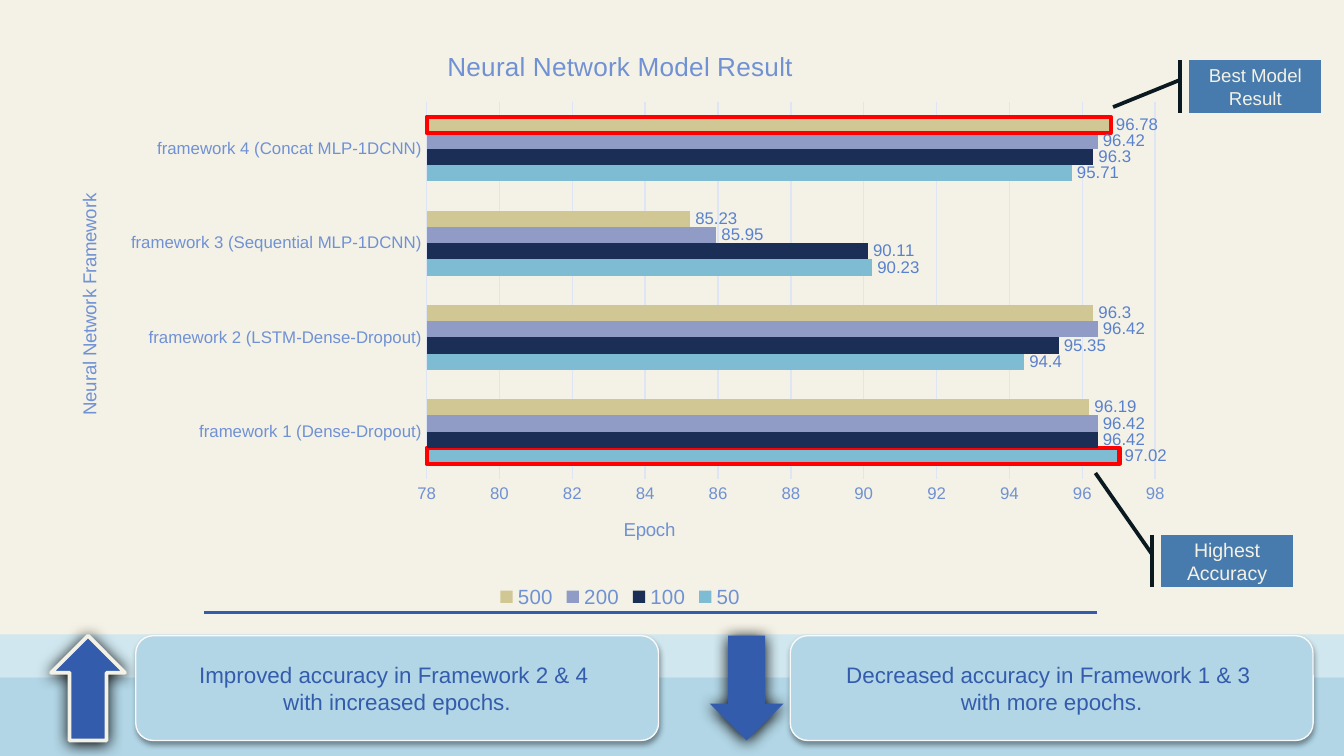
from lxml import etree
from pptx import Presentation
from pptx.chart.data import CategoryChartData
from pptx.dml.color import RGBColor
from pptx.enum.chart import XL_CHART_TYPE, XL_LABEL_POSITION, XL_LEGEND_POSITION, XL_TICK_MARK
from pptx.enum.shapes import MSO_CONNECTOR, MSO_SHAPE
from pptx.enum.text import MSO_ANCHOR, PP_ALIGN
from pptx.oxml import parse_xml
from pptx.oxml.ns import nsdecls, qn
from pptx.util import Inches, Pt

BAR_CHART = XL_CHART_TYPE.BAR_CLUSTERED
OUTSIDE_END = XL_LABEL_POSITION.OUTSIDE_END
LEGEND_BOTTOM = XL_LEGEND_POSITION.BOTTOM
NO_TICK = XL_TICK_MARK.NONE
STRAIGHT = MSO_CONNECTOR.STRAIGHT
RECTANGLE, ROUNDED = MSO_SHAPE.RECTANGLE, MSO_SHAPE.ROUNDED_RECTANGLE
DOWN_ARROW, CALLOUT = MSO_SHAPE.DOWN_ARROW, MSO_SHAPE.LINE_CALLOUT_1_ACCENT_BAR
MIDDLE, CENTER = MSO_ANCHOR.MIDDLE, PP_ALIGN.CENTER

CREAM = RGBColor(0xF4, 0xF2, 0xE6)
PALE_BLUE = RGBColor(0xD0, 0xE7, 0xEF)
LIGHT_BLUE = RGBColor(0xB2, 0xD6, 0xE6)
BLUE = RGBColor(0x34, 0x5C, 0xAC)
AXIS_BLUE = RGBColor(0x70, 0x91, 0xD4)
LABEL_BLUE = RGBColor(0x5A, 0x81, 0xCD)
GRID = RGBColor(0xDE, 0xE6, 0xF5)
CALLOUT_BLUE = RGBColor(0x47, 0x7A, 0xAD)
INK = RGBColor(0x0A, 0x18, 0x1F)
WHITE = RGBColor(0xF9, 0xF9, 0xF9)
RED = RGBColor(0xFF, 0, 0)
FONT = "Arial"

FRAMEWORKS = ["framework 1 (Dense-Dropout)", "framework 2 (LSTM-Dense-Dropout)",
              "framework 3 (Sequential MLP-1DCNN)", "framework 4 (Concat MLP-1DCNN)"]
# Epochs, accuracy per framework, bar colour, index of the outlined bar
EPOCHS = [
    ("50", (97.02, 94.4, 90.23, 95.71), RGBColor(0x7D, 0xBC, 0xD3), 0),
    ("100", (96.42, 95.35, 90.11, 96.3), RGBColor(0x1A, 0x2E, 0x56), None),
    ("200", (96.42, 96.42, 85.95, 96.42), RGBColor(0x90, 0x9C, 0xC5), None),
    ("500", (96.19, 96.3, 85.23, 96.78), RGBColor(0xD0, 0xC7, 0x94), 3),
]


def style_font(font, size, color):
    font.name, font.size, font.bold = FONT, Pt(size), False
    font.color.rgb = color


def write(frame, text, size=12, color=BLUE):
    frame.word_wrap = True
    frame.vertical_anchor = MIDDLE
    frame.text = text
    for paragraph in frame.paragraphs:
        paragraph.alignment = CENTER
        for run in paragraph.runs:
            style_font(run.font, size, color)


def add_box(slide, kind, box, fill, line=None, width=1):
    shape = slide.shapes.add_shape(kind, *map(Inches, box))
    shape.shadow.inherit = False
    shape.fill.solid()
    shape.fill.fore_color.rgb = fill
    if line is None:
        shape.line.fill.background()
    else:
        shape.line.color.rgb = line
        shape.line.width = Pt(width)
    return shape


def add_shadow(shape, alpha, blur, distance):
    effects = shape._element.spPr.find(qn("a:effectLst"))
    effects.append(parse_xml(
        f'<a:outerShdw {nsdecls("a")} blurRad="{Pt(blur)}" dist="{Pt(distance)}" '
        f'dir="5400000" algn="ctr" rotWithShape="0"><a:srgbClr val="000000">'
        f'<a:alpha val="{alpha * 1000}"/></a:srgbClr></a:outerShdw>'))


def place(element, x, y, w=None, h=None):
    """Set a manual layout, in fractions of the chart area."""
    layout = element.find(qn("c:layout"))
    if layout is None:
        layout = etree.Element(qn("c:layout"))
        text = element.find(qn("c:tx"))
        if text is None:
            element.insert(0, layout)
        else:
            text.addnext(layout)
    manual = etree.SubElement(layout, qn("c:manualLayout"))
    values = [("xMode", "edge"), ("yMode", "edge"), ("x", x), ("y", y)]
    if w is not None:
        values = [("layoutTarget", "inner")] + values + [("w", w), ("h", h)]
    for tag, value in values:
        etree.SubElement(manual, qn(f"c:{tag}")).set("val", str(value))


def style_axis(axis, title, x, y):
    axis.major_tick_mark = axis.minor_tick_mark = NO_TICK
    style_font(axis.tick_labels.font, 9, AXIS_BLUE)
    write_title(axis.axis_title, title, 10)
    place(axis.axis_title._element, x, y)


def write_title(title, text, size):
    title.text_frame.text = text
    style_font(title.text_frame.paragraphs[0].runs[0].font, size, AXIS_BLUE)


def add_accuracy_chart(slide, box):
    data = CategoryChartData()
    data.categories = FRAMEWORKS
    for epochs, accuracy, _, _ in EPOCHS:
        data.add_series(epochs, accuracy)
    chart = slide.shapes.add_chart(BAR_CHART, *map(Inches, box), data).chart
    style_font(chart.font, 10, BLUE)
    write_title(chart.chart_title, "Neural Network Model Result", 14)
    chart.chart_title.include_in_layout = False
    chart.has_legend = True
    chart.legend.position = LEGEND_BOTTOM
    chart.legend.include_in_layout = False
    style_font(chart.legend.font, 11, AXIS_BLUE)

    # Axes
    frameworks, accuracy_axis = chart.category_axis, chart.value_axis
    style_axis(frameworks, "Neural Network Framework", 0.02, 0.28)
    frameworks.format.line.color.rgb = GRID
    frameworks.format.line.width = Pt(0.75)
    style_axis(accuracy_axis, "Epoch", 0.5, 0.83)
    accuracy_axis.format.line.fill.background()
    accuracy_axis.minimum_scale, accuracy_axis.maximum_scale = 78, 98
    accuracy_axis.major_unit = 2
    grid_line = accuracy_axis.major_gridlines.format.line
    grid_line.color.rgb = GRID
    grid_line.width = Pt(0.75)

    # Bars, labels and outlined results
    plot = chart.plots[0]
    plot.gap_width, plot.overlap, plot.vary_by_categories = 182, 0, False
    place(chart._chartSpace.chart.plotArea, 0.33, 0.13, 0.64, 0.64)
    for series, (_, _, color, outlined) in zip(plot.series, EPOCHS):
        series.format.fill.solid()
        series.format.fill.fore_color.rgb = color
        labels = series.data_labels
        labels.show_value = True
        labels.position = OUTSIDE_END
        style_font(labels.font, 9, LABEL_BLUE)
        if outlined is not None:
            bar = series.points[outlined].format
            bar.fill.solid()
            bar.fill.fore_color.rgb = color
            bar.line.color.rgb = RED
            bar.line.width = Pt(2.25)


def add_callout(slide, box, text, size, leader):
    callout = add_box(slide, CALLOUT, box, CALLOUT_BLUE, INK, 2)
    for index, value in enumerate(leader):
        callout.adjustments[index] = value
    write(callout.text_frame, text, size=size, color=CREAM)


def add_finding(slide, box, text, rising):
    left, top, width, height = box
    arrow_box = (left, top, 0.55, height)
    if rising:
        arrow = add_box(slide, DOWN_ARROW, arrow_box, BLUE, CREAM, 2)
        arrow.rotation = 180
    else:
        arrow = add_box(slide, DOWN_ARROW, arrow_box, BLUE)
    add_shadow(arrow, alpha=100, blur=8.5, distance=1)
    card_box = (left + width - 3.89, top, 3.89, height)
    card = add_box(slide, ROUNDED, card_box, LIGHT_BLUE, WHITE, 0.75)
    add_shadow(card, alpha=38, blur=3.1, distance=1.6)
    write(card.text_frame, text)


def add_divider(slide, left, right, y):
    line = slide.shapes.add_connector(STRAIGHT, *map(Inches, (left, y, right, y)))
    line.line.color.rgb = BLUE
    line.line.width = Pt(1.5)
    etree.SubElement(line._element.spPr, qn("a:effectLst"))


def main():
    deck = Presentation()
    deck.slide_width = Inches(10)
    deck.slide_height = deck.slide_width * 9 // 16
    slide = deck.slides.add_slide(deck.slide_layouts[6])
    slide.background.fill.solid()
    slide.background.fill.fore_color.rgb = CREAM

    # Footer bands
    add_box(slide, RECTANGLE, (0, 4.72, 10, 0.32), PALE_BLUE)
    add_box(slide, RECTANGLE, (0, 5.04, 10, 0.61), LIGHT_BLUE)

    add_accuracy_chart(slide, (0.38, 0.19, 8.47, 4.38))
    add_divider(slide, 1.52, 8.16, 4.56)

    # Findings
    add_finding(slide, (0.38, 4.73, 4.52, 0.78),
                "Improved accuracy in Framework 2 & 4 \nwith increased epochs.", True)
    add_finding(slide, (5.28, 4.73, 4.49, 0.78),
                "Decreased accuracy in Framework 1 & 3 \nwith more epochs.", False)

    # Callouts
    add_callout(slide, (8.64, 3.98, 0.98, 0.39), "Highest Accuracy", 10.5,
                (0.37, -0.07, -1.18, -0.5))
    add_callout(slide, (8.85, 0.45, 0.98, 0.39), "Best Model Result", 10,
                (0.37, -0.07, 0.89, -0.58))
    deck.save("out.pptx")


if __name__ == "__main__":
    main()
